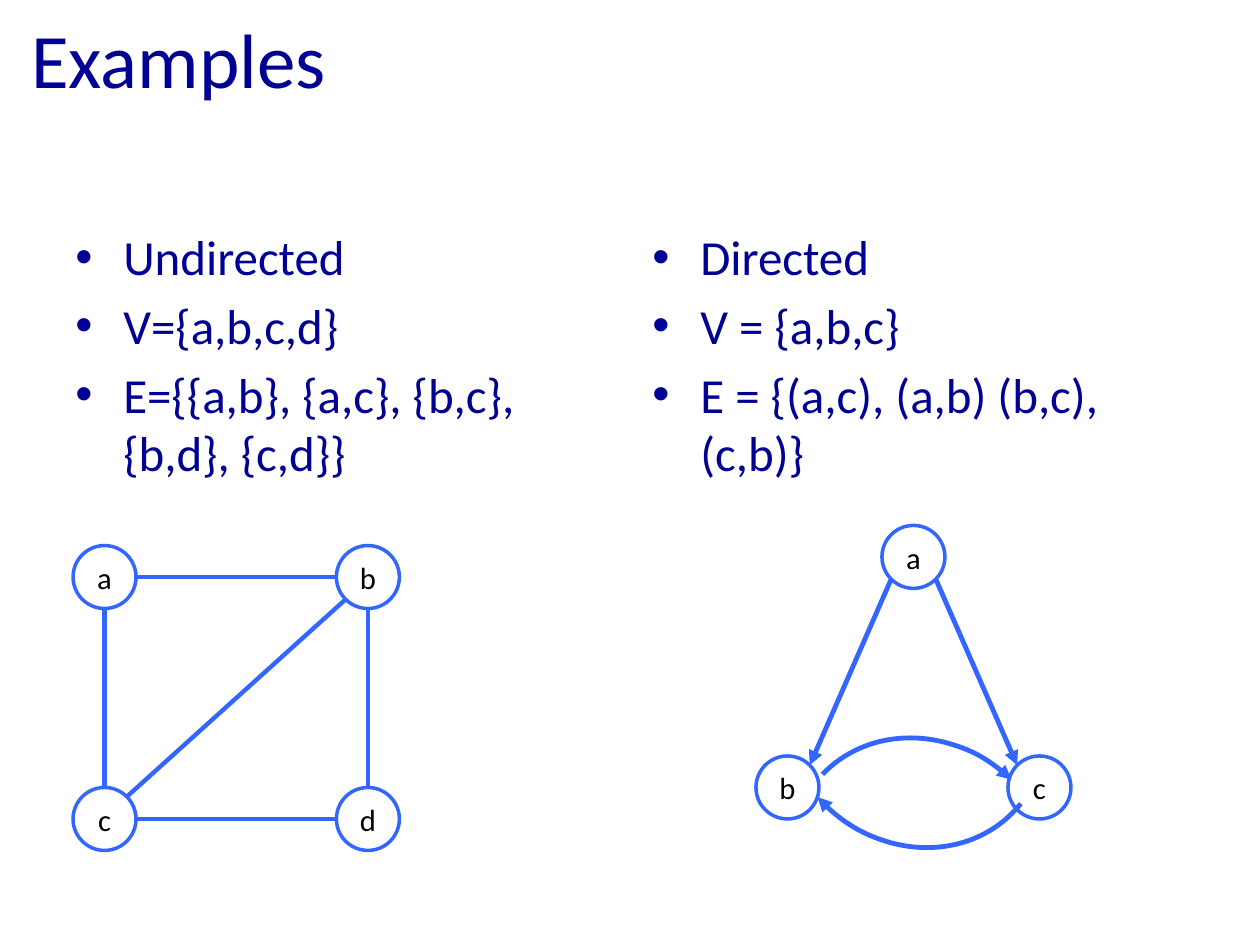
from dataclasses import dataclass
from math import hypot

from lxml.etree import SubElement
from pptx import Presentation
from pptx.dml.color import RGBColor
from pptx.enum.shapes import MSO_CONNECTOR, MSO_SHAPE
from pptx.enum.text import MSO_ANCHOR, PP_ALIGN
from pptx.oxml.ns import qn
from pptx.util import Inches, Pt

COLORS = {"text": "000095", "edge": "3366FF", "node": "FFFFFF", "label": "000000"}
FONT = "Calibri"
RADIUS = 0.25


@dataclass(frozen=True)
class Node:
    label: str
    x: float
    y: float

    def rim(self, direction: tuple[int, int]) -> tuple[float, float]:
        """Return the point on the rim that lies in the given direction."""
        across, down = direction
        scale = RADIUS / hypot(across, down)
        return self.x + across * scale, self.y + down * scale


@dataclass(frozen=True)
class Edge:
    start: str
    end: str
    start_side: tuple[int, int]
    end_side: tuple[int, int]


@dataclass(frozen=True)
class Arc:
    left: float
    top: float
    rotation: float
    adjustments: tuple[float, float]


@dataclass(frozen=True)
class Graph:
    nodes: tuple[Node, ...]
    edges: tuple[Edge, ...]
    arcs: tuple[Arc, ...]
    line_width: float
    directed: bool


@dataclass(frozen=True)
class BulletList:
    left: float
    height: float
    items: tuple[str, ...]


LISTS = (
    BulletList(0.5, 2.25, ("Undirected", "V={a,b,c,d}", "E={{a,b}, {a,c}, {b,c}, {b,d}, {c,d}}")),
    BulletList(5.08, 2.08, ("Directed", "V = {a,b,c}", "E = {(a,c), (a,b) (b,c), (c,b)}")),
)

UP, DOWN, LEFT, RIGHT = (0, -1), (0, 1), (-1, 0), (1, 0)
UP_LEFT, UP_RIGHT, DOWN_LEFT, DOWN_RIGHT = (-1, -1), (1, -1), (-1, 1), (1, 1)

GRAPHS = (
    Graph(
        nodes=(Node("a", 0.83, 4.58), Node("c", 0.83, 6.5), Node("d", 2.92, 6.5), Node("b", 2.92, 4.58)),
        edges=(
            Edge("a", "b", RIGHT, LEFT),
            Edge("c", "b", UP_RIGHT, DOWN_LEFT),
            Edge("d", "b", UP, DOWN),
            Edge("a", "c", DOWN, UP),
            Edge("c", "d", RIGHT, LEFT),
        ),
        arcs=(),
        line_width=2.5,
        directed=False,
    ),
    Graph(
        nodes=(Node("a", 7.25, 4.42), Node("b", 6.25, 6.25), Node("c", 8.25, 6.25)),
        edges=(Edge("a", "b", DOWN_LEFT, UP_RIGHT), Edge("a", "c", DOWN_RIGHT, UP_LEFT)),
        arcs=(Arc(6.33, 5.8, 313.6, (162, 0)), Arc(6.24, 4.55, 135.3, (158.68, 2.15))),
        line_width=2.75,
        directed=True,
    ),
)


def color(name: str) -> RGBColor:
    """Look up a colour by its role."""
    return RGBColor.from_string(COLORS[name])


def style_font(paragraph, size: float, color_name: str) -> None:
    """Set the font of a paragraph."""
    paragraph.font.name = FONT
    paragraph.font.size = Pt(size)
    paragraph.font.color.rgb = color(color_name)


def add_title(slide, text: str) -> None:
    """Add the slide title."""
    frame = slide.shapes.add_textbox(Inches(0.15), Inches(0.03), Inches(9), Inches(0.85)).text_frame
    frame.word_wrap = True
    frame.vertical_anchor = MSO_ANCHOR.MIDDLE
    frame.text = text
    style_font(frame.paragraphs[0], 44, "text")


def add_bullet_list(slide, bullet_list: BulletList) -> None:
    """Add one column of bulleted text."""
    box = slide.shapes.add_textbox(
        Inches(bullet_list.left), Inches(1.75), Inches(4.42), Inches(bullet_list.height)
    )
    frame = box.text_frame
    frame.word_wrap = True
    frame.text = "\n".join(bullet_list.items)
    for paragraph in frame.paragraphs:
        style_font(paragraph, 28, "text")
        paragraph.space_before = Pt(5.6)
        properties = paragraph._p.get_or_add_pPr()
        properties.set("marL", str(Inches(0.38)))
        properties.set("indent", str(-Inches(0.38)))
        bullet_font = SubElement(properties, qn("a:buFont"), typeface="Arial")
        bullet_font.addnext(SubElement(properties, qn("a:buChar"), char="•"))
        default_run = properties.find(qn("a:defRPr"))
        if default_run is not None:
            properties.append(default_run)


def add_node(slide, node: Node) -> None:
    """Add a labelled circle."""
    shape = slide.shapes.add_shape(
        MSO_SHAPE.OVAL,
        Inches(node.x - RADIUS),
        Inches(node.y - RADIUS),
        Inches(2 * RADIUS),
        Inches(2 * RADIUS),
    )
    shape.shadow.inherit = False
    shape.fill.solid()
    shape.fill.fore_color.rgb = color("node")
    shape.line.color.rgb = color("edge")
    shape.line.width = Pt(2)
    frame = shape.text_frame
    frame.margin_left = frame.margin_right = frame.margin_top = frame.margin_bottom = 0
    frame.vertical_anchor = MSO_ANCHOR.MIDDLE
    frame.text = node.label
    frame.paragraphs[0].alignment = PP_ALIGN.CENTER
    style_font(frame.paragraphs[0], 17.5, "label")


def style_line(line, width: float, directed: bool) -> None:
    """Colour a line and give it an arrowhead when it is directed."""
    line.color.rgb = color("edge")
    line.width = Pt(width)
    if directed:
        SubElement(line._get_or_add_ln(), qn("a:tailEnd"), type="triangle")


def add_graph(slide, graph: Graph) -> None:
    """Add the nodes, straight edges and curved edges of a graph."""
    for node in graph.nodes:
        add_node(slide, node)
    nodes = {node.label: node for node in graph.nodes}
    for edge in graph.edges:
        start = nodes[edge.start].rim(edge.start_side)
        end = nodes[edge.end].rim(edge.end_side)
        points = [Inches(value) for value in (*start, *end)]
        connector = slide.shapes.add_connector(MSO_CONNECTOR.STRAIGHT, *points)
        style_line(connector.line, graph.line_width, graph.directed)
        SubElement(connector._element.spPr, qn("a:effectLst"))
    for arc in graph.arcs:
        shape = slide.shapes.add_shape(
            MSO_SHAPE.ARC, Inches(arc.left), Inches(arc.top), Inches(2.01), Inches(2.23)
        )
        shape.shadow.inherit = False
        shape.rotation = arc.rotation
        shape.adjustments[0], shape.adjustments[1] = arc.adjustments
        shape.fill.background()
        style_line(shape.line, graph.line_width, graph.directed)


def main() -> None:
    """Build and save the slide."""
    presentation = Presentation()
    presentation.slide_width, presentation.slide_height = Inches(10), Inches(7.5)
    slide = presentation.slides.add_slide(presentation.slide_layouts[6])
    add_title(slide, "Examples")
    for bullet_list in LISTS:
        add_bullet_list(slide, bullet_list)
    for graph in GRAPHS:
        add_graph(slide, graph)
    presentation.save("out.pptx")


if __name__ == "__main__":
    main()
